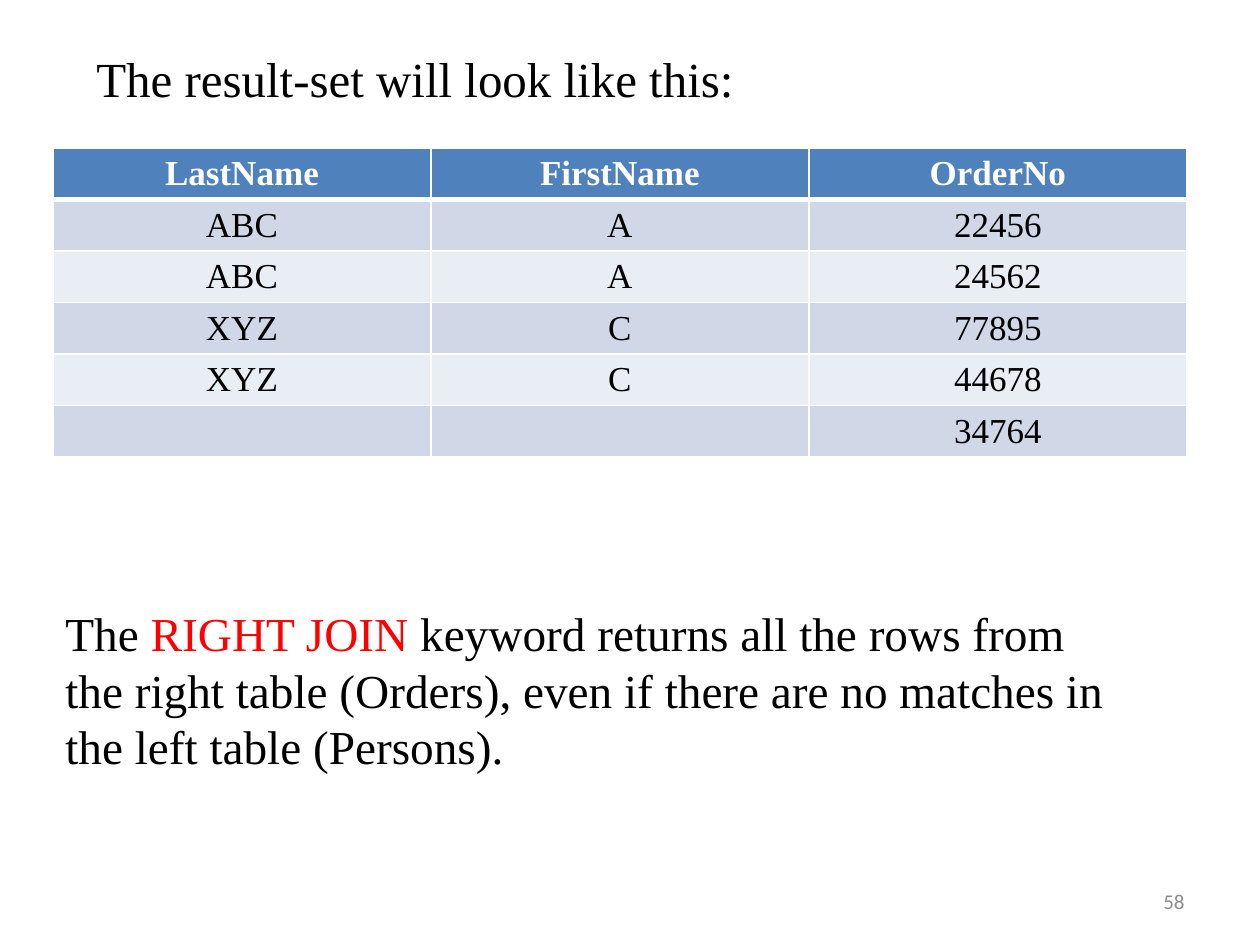
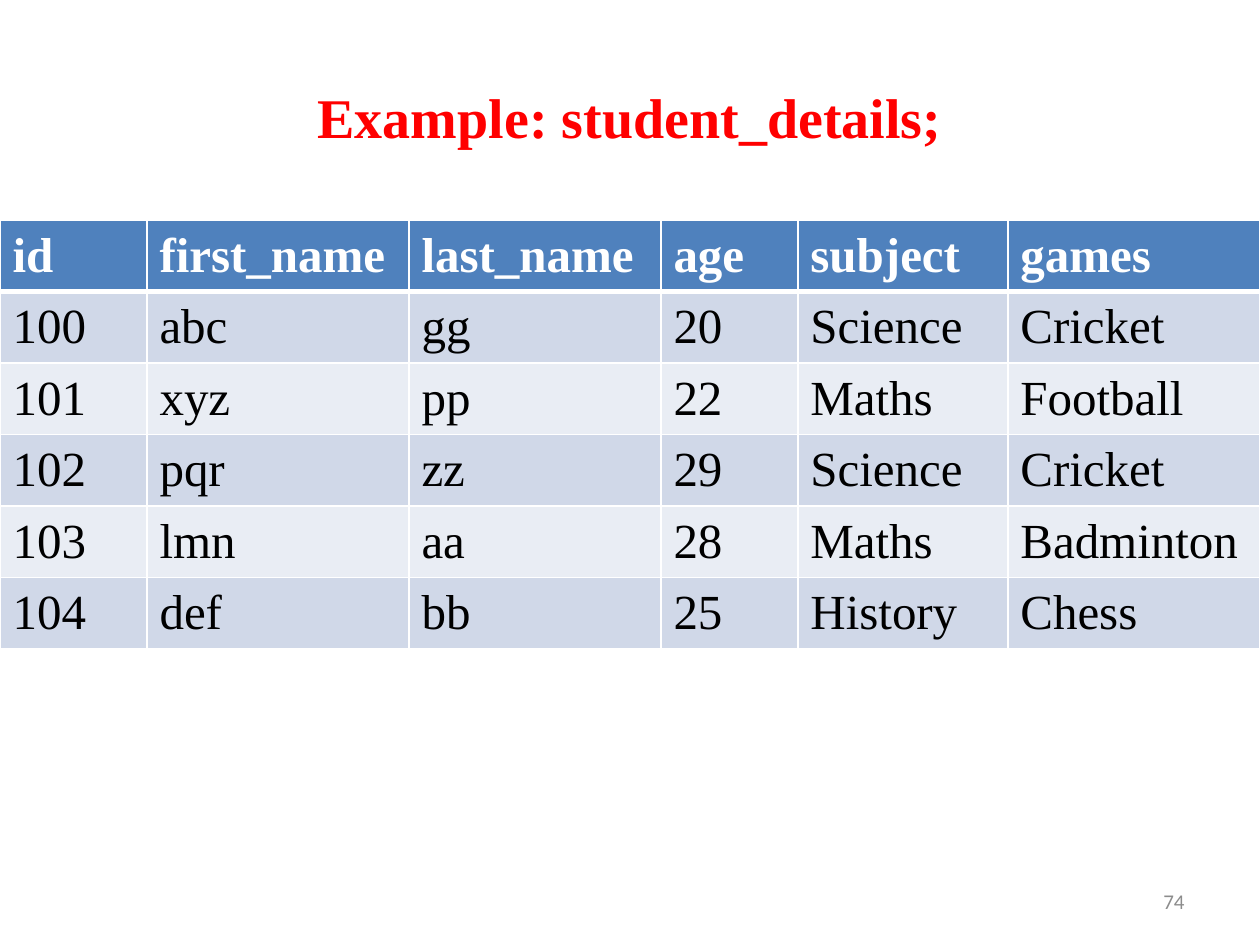
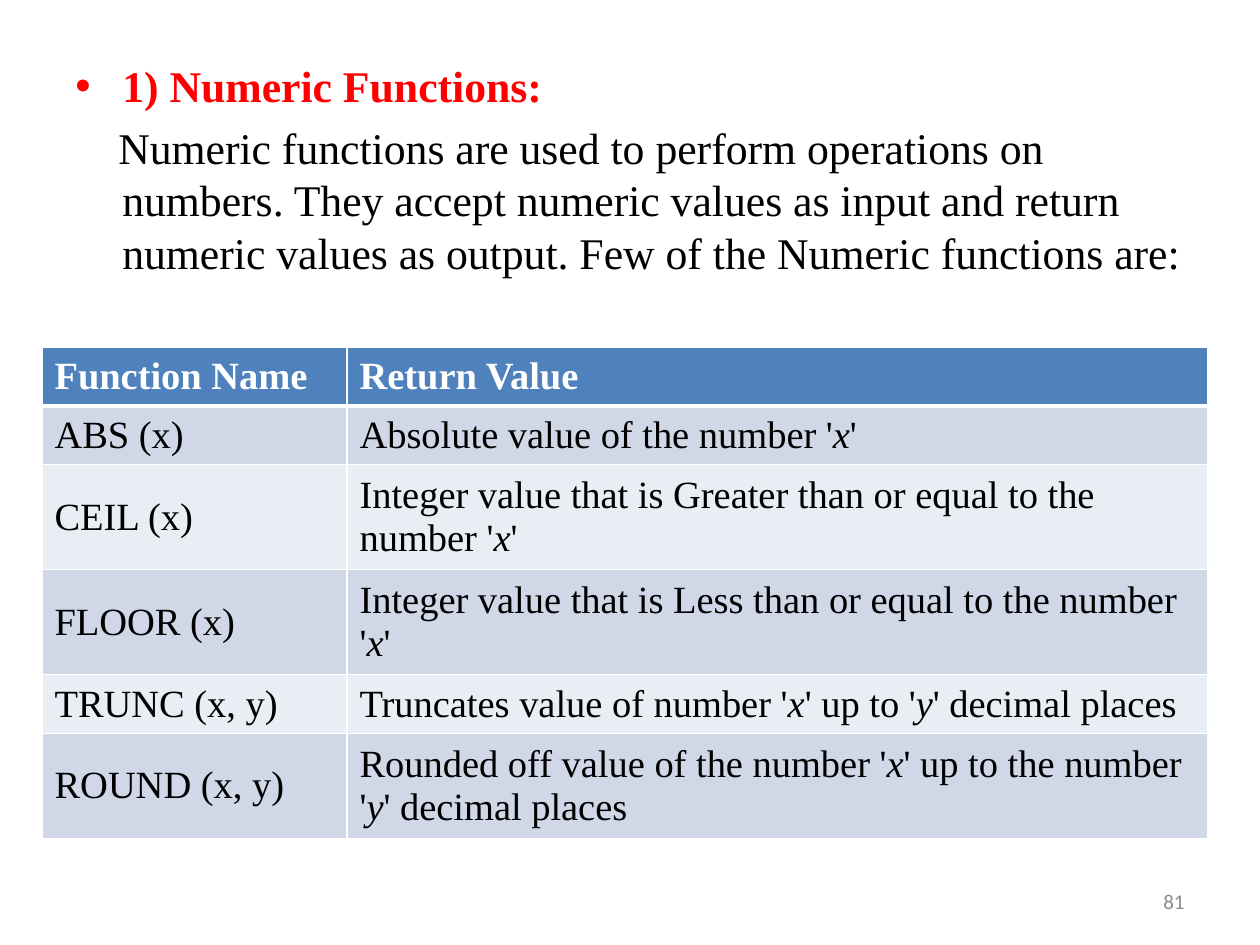
"""Three SQL slides: a right join result, a sample table and numeric functions."""
from lxml.etree import SubElement
from pptx import Presentation
from pptx.dml.color import RGBColor
from pptx.enum.text import MSO_ANCHOR as ANCHOR, PP_ALIGN as ALIGN
from pptx.oxml import parse_xml
from pptx.oxml.ns import nsdecls, qn
from pptx.util import Pt

PX = 914400 // 126
WHITE = RGBColor(0xFF, 0xFF, 0xFF)
BLACK = RGBColor(0x00, 0x00, 0x00)
RED = RGBColor(0xFF, 0x00, 0x00)
GREY = RGBColor(0x8C, 0x8C, 0x8C)
HEADER = RGBColor(0x4F, 0x81, 0xBD)
BANDS = [RGBColor(0xE9, 0xED, 0xF4), RGBColor(0xD0, 0xD8, 0xE8)]
SERIF = "Times New Roman"
LEADING = 1.2


def add_text(s, box, paragraphs, size, font=SERIF, align=ALIGN.LEFT,
             anchor=ANCHOR.TOP, leading=LEADING):
    """Add a wrapped text box; each paragraph is a list of (text, colour, bold)."""
    tf = s.shapes.add_textbox(*[v * PX for v in box]).text_frame
    tf.word_wrap = True
    tf.vertical_anchor = anchor
    for i, runs in enumerate(paragraphs):
        p = tf.add_paragraph() if i else tf.paragraphs[0]
        p.alignment = align
        if leading:
            p.line_spacing = Pt(round(size * leading, 1))
        for text, color, bold in runs:
            r = p.add_run()
            r.text = text
            r.font.name, r.font.size, r.font.bold = font, Pt(size), bold
            r.font.color.rgb = color
    return tf


def add_grid(s, left, top, widths, heights, rows, size, align=ALIGN.LEFT):
    """Add a banded table; text between asterisks is italic."""
    table = s.shapes.add_table(len(rows), len(widths), left * PX, top * PX,
                               sum(widths) * PX, sum(heights) * PX).table
    for column, width in zip(table.columns, widths):
        column.width = width * PX
    for i, (row, height) in enumerate(zip(rows, heights)):
        table.rows[i].height = height * PX
        for j, text in enumerate(row):
            cell = table.cell(i, j)
            cell.vertical_anchor = ANCHOR.MIDDLE
            cell.fill.solid()
            cell.fill.fore_color.rgb = BANDS[i % 2] if i else HEADER
            p = cell.text_frame.paragraphs[0]
            p.alignment = align
            for k, part in enumerate(text.split("*") if text else []):
                r = p.add_run()
                r.text = part
                r.font.name, r.font.size = SERIF, Pt(size)
                r.font.bold, r.font.italic = i == 0, k % 2 == 1
                r.font.color.rgb = BLACK if i else WHITE
            tcPr = cell._tc.get_or_add_tcPr()
            for k, side in enumerate("LRTB"):
                heavy = (i, side) in [(0, "B"), (1, "T")]
                tcPr.insert(k, parse_xml(
                    f'<a:ln{side} {nsdecls("a")} w="{Pt(3 if heavy else 1)}"><a:solidFill>'
                    f'<a:srgbClr val="{WHITE}"/></a:solidFill></a:ln{side}>'))


prs = Presentation()
prs.slide_width, prs.slide_height = 1260 * PX, 945 * PX
slides = [prs.slides.add_slide(prs.slide_layouts[6]) for _ in range(3)]
join, example, numeric = slides

add_grid(join, 53, 148, [378] * 3, [51] * 6, [
    ["LastName", "FirstName", "OrderNo"],
    ["ABC", "A", "22456"],
    ["ABC", "A", "24562"],
    ["XYZ", "C", "77895"],
    ["XYZ", "C", "44678"],
    ["", "", "34764"],
], 20, ALIGN.CENTER)
add_text(join, (53, 598, 1092, 184), [[
    ("The ", BLACK, False),
    ("RIGHT JOIN ", RED, False),
    ("keyword returns all the rows from the right table (Orders), even if "
     "there are no matches in the left table (Persons).", BLACK, False),
]], 27)
add_text(join, (84, 42, 861, 72),
         [[("The result-set will look like this:", BLACK, False)]], 28)

add_text(example, (63, 38, 1134, 157), [[("Example: student_details;", RED, True)]], 32,
         align=ALIGN.CENTER, anchor=ANCHOR.MIDDLE)
add_grid(example, 0, 220, [147, 262, 252, 137, 210, 252], [67] * 6, [
    ["id", "first_name", "last_name", "age", "subject", "games"],
    ["100", "abc", "gg", "20", "Science", "Cricket"],
    ["101", "xyz", "pp", "22", "Maths", "Football"],
    ["102", "pqr", "zz", "29", "Science", "Cricket"],
    ["103", "lmn", "aa", "28", "Maths", "Badminton"],
    ["104", "def", "bb", "25", "History", "Chess"],
], 28)

tf = add_text(numeric, (63, 53, 1134, 892), [
    [("1) Numeric Functions:", RED, True)],
    [("Numeric functions are used to perform operations on numbers. They accept "
      "numeric values as input and return numeric values as output. Few of the "
      "Numeric functions are:", BLACK, False)],
], 25)
for p, indent in zip(tf.paragraphs, (-47, -4)):
    pPr = p._p.get_or_add_pPr()
    pPr.set("marL", str(47 * PX))
    pPr.set("indent", str(indent * PX))
heading, body = tf.paragraphs
body.space_before = Pt(5)
pPr = heading._p.get_or_add_pPr()
SubElement(pPr, qn("a:buFont"), typeface="Arial")
SubElement(pPr, qn("a:buChar"), char="•")
add_grid(numeric, 42, 347, [305, 861], [55, 55, 98, 98, 55, 98], [
    ["Function Name", "Return Value"],
    ["ABS (x)", "Absolute value of the number '*x*'"],
    ["CEIL (x)", "Integer value that is Greater than or equal to the number '*x*'"],
    ["FLOOR (x)", "Integer value that is Less than or equal to the number '*x*'"],
    ["TRUNC (x, y)", "Truncates value of number '*x*' up to '*y*' decimal places"],
    ["ROUND (x, y)",
     "Rounded off value of the number '*x*' up to the number '*y*' decimal places"],
], 22)

for s, number in zip(slides, ("58", "74", "81")):
    add_text(s, (903, 876, 294, 50), [[(number, GREY, False)]], 12, "Calibri",
             ALIGN.RIGHT, ANCHOR.MIDDLE, None)

prs.save("out.pptx")
